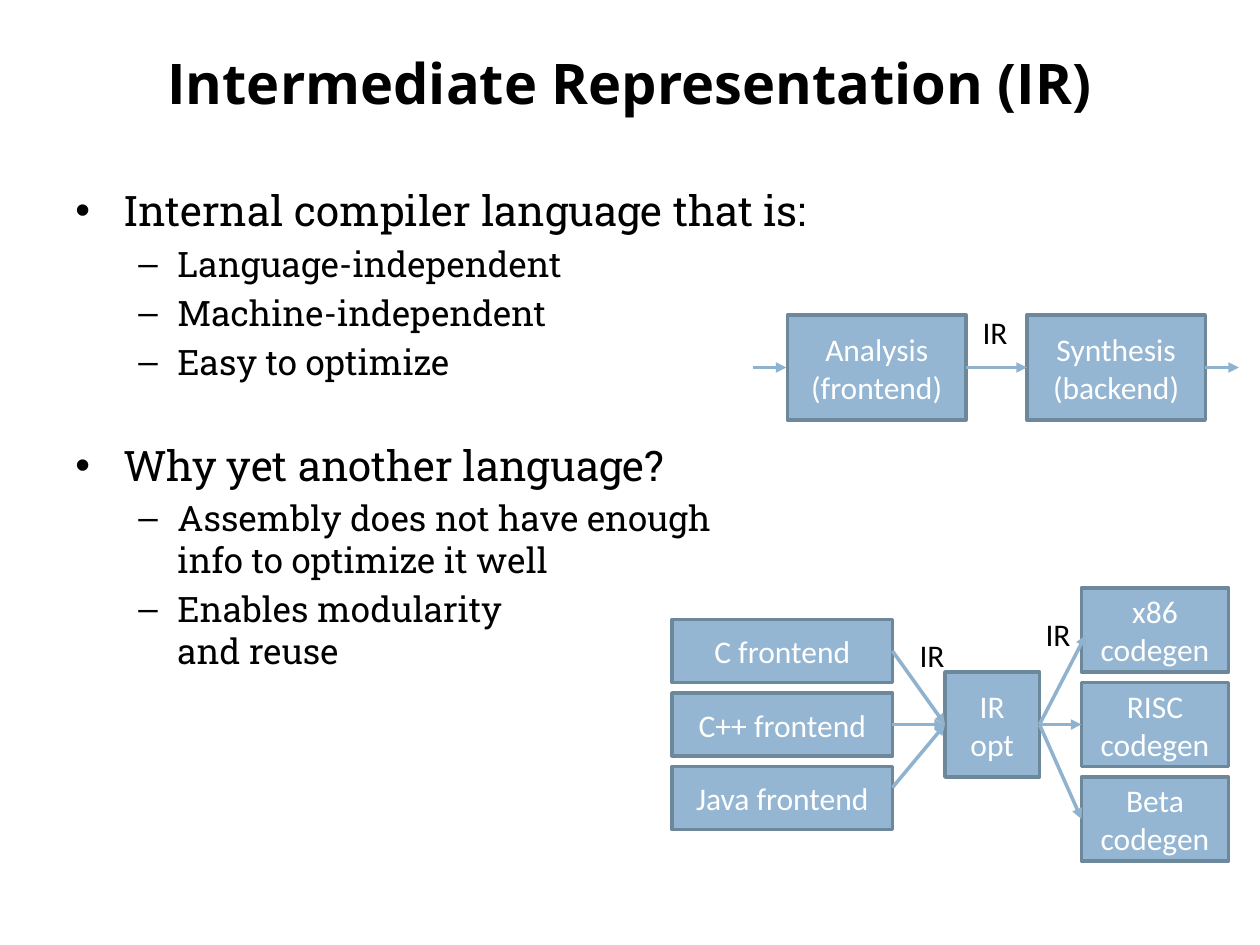
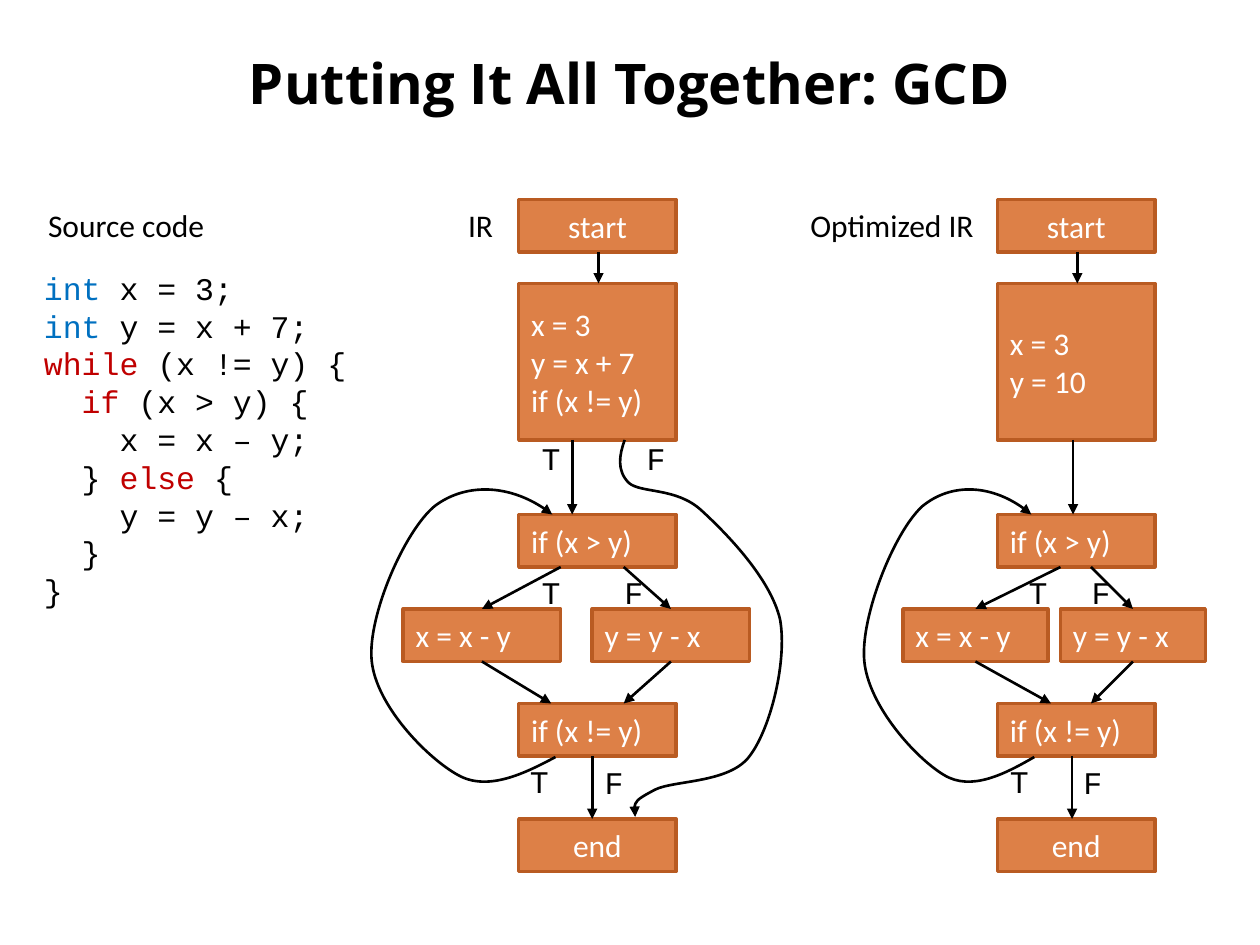
from lxml import etree
from pptx import Presentation
from pptx import util as u
from pptx.dml.color import RGBColor
from pptx.enum import shapes, text
from pptx.oxml.ns import qn

COLORS = {
    "black": "000000", "white": "FFFFFF", "blue": "94B6D2", "blue_edge": "6D879B",
    "blue_arrow": "8FB2CF", "orange": "DD8047", "orange_edge": "B95B22",
    "type": "0070C0", "keyword": "C00000",
}
BLUE, ORANGE = ("blue", "blue_edge"), ("orange", "orange_edge")
SANS, MONO, SLAB, HEAD = "Calibri", "Courier New", "Roboto Slab", "Open Sans"
COLUMNS, ROWS = 120, 90
CENTER, LEFT = text.PP_ALIGN.CENTER, text.PP_ALIGN.LEFT

BULLETS = [
    (0, "Internal compiler language that is:", 4.8),
    (1, "Language-independent", 4),
    (1, "Machine-independent", 4),
    (1, "Easy to optimize", 4),
    (0, "Why yet another language?", 32.8),
    (1, "Assembly does not have enough\vinfo to optimize it well", 4),
    (1, "Enables modularity\vand reuse", 4),
]
BULLET_STYLES = [("•", 24, 0.38, -0.38), ("–", 20, 0.81, -0.31)]

STAGES = [(75, ["Analysis", "(frontend)"]), (97.8, ["Synthesis", "(backend)"])]
STAGE_ARROWS = [(92, 97.8), (114.8, 118), (71.7, 74.9)]
FRONTENDS = ["C frontend", "C++ frontend", "Java frontend"]
CODEGENS = ["x86", "RISC", "Beta"]
FRONTEND_ENDS = [62, 69, 75]
CODEGEN_ENDS = [(103.4, 60.5), (103, 69), (103, 78)]
IR_LABELS = [(92.4, 29.2), (86.4, 60), (98.4, 58)]

CODE = [
    (0, [("int", "type"), (" x = 3;", "black")]),
    (0, [("int", "type"), (" y = x + 7;", "black")]),
    (0, [("while", "keyword"), (" (x != y) {", "black")]),
    (1, [("if", "keyword"), (" (x > y) {", "black")]),
    (2, [("x = x – y;", "black")]),
    (1, [("} ", "black"), ("else", "keyword"), (" {", "black")]),
    (2, [("y = y – x;", "black")]),
    (1, [("}", "black")]),
    (0, [("}", "black")]),
]
HEADINGS = [(3.4, 17.8, "Source code"), (43.4, 5, "IR"), (76, 18.8, "Optimized IR")]

FLOWS = [
    {
        "left": 49.4, "setup": ["x = 3", "y = x + 7", "if (x != y)"],
        "branches": [38.4, 56.4], "branch_width": 15,
        "start": 57, "entry": 54.5, "split": [53.4, 59.4], "merge": [52.5, 59.4],
        "exit": 56.4, "loop": 52.9, "loop_scale": 1,
        "labels": [("T", 50.4, 54), ("F", 58.3, 54), ("T", 50.4, 41.2),
                   ("F", 60.4, 41.2), ("T", 49.3, 72), ("F", 56.4, 72.1)],
    },
    {
        "left": 95, "setup": ["x = 3", "y = 10"],
        "branches": [86, 101], "branch_width": 13.8,
        "start": 102.6, "entry": 102.2, "split": [101, 103.9], "merge": [100.1, 103.9],
        "exit": 102.1, "loop": 98.5, "loop_scale": 0.925,
        "labels": [("T", 96.8, 54), ("F", 102.8, 54), ("T", 95, 72), ("F", 102, 72.1)],
    },
]
FLOW_ROWS = {"start": 19, "setup": 27, "compare": 49, "branch": 58, "repeat": 67, "end": 78}
FLOW_HEIGHT, FLOW_WIDTH, SETUP_HEIGHT = 5, 15, 14.9
LOOP = [(0, 72.1), (-3, 73.7), (-6.5, 75.4), (-9.3, 73.8), (-12.2, 72.2), (-17.1, 67.2),
        (-17.5, 62.9), (-17.9, 58.7), (-14.4, 50.6), (-11.5, 48.2), (-8.6, 46),
        (-3.9, 46.1), (-0.3, 49)]
BYPASS = [(59.5, 41.9), (59, 43.3), (58.7, 44.8), (59.9, 46), (61.1, 47), (64.4, 46.4),
          (66.8, 48.6), (69.2, 50.8), (73.4, 55.1), (74.3, 59), (75, 62.9), (73.4, 69.4),
          (71.4, 72), (69.5, 74.6), (64.2, 74.3), (62.4, 75.2), (60.5, 76.2),
          (60.2, 76.7), (60.5, 77.8)]

presentation = Presentation()
presentation.slide_width, presentation.slide_height = u.Inches(10), u.Inches(7.5)


def across(columns):
    return u.Emu(round(presentation.slide_width * columns / COLUMNS))


def down(rows):
    return u.Emu(round(presentation.slide_height * rows / ROWS))


def place(left, top, width, height):
    return across(left), down(top), across(width), down(height)


def color(name):
    return RGBColor.from_string(COLORS[name])


def add_run(paragraph, words, size, font, ink="black", bold=False):
    for index, line in enumerate(words.split("\v")):
        if index:
            paragraph.add_line_break()
        run = paragraph.add_run()
        run.text = line
        run.font.size, run.font.name, run.font.bold = u.Pt(size), font, bold
        run.font.color.rgb = color(ink)


def paragraphs(frame, count):
    while len(frame.paragraphs) < count:
        frame.add_paragraph()
    return frame.paragraphs


def add_text(slide, box, wrap=True, grow=False):
    frame = slide.shapes.add_textbox(*place(*box)).text_frame
    frame.word_wrap = wrap
    if grow:
        frame.auto_size = text.MSO_AUTO_SIZE.SHAPE_TO_FIT_TEXT
    return frame


def add_label(slide, words, left, top, width, font=SANS):
    frame = add_text(slide, (left, top, width, 4.8), wrap=False, grow=True)
    add_run(frame.paragraphs[0], words, 18, font)


def add_box(slide, lines, box, palette, align=CENTER, inset=None):
    shape = slide.shapes.add_shape(shapes.MSO_SHAPE.RECTANGLE, *place(*box))
    shape.shadow.inherit = False
    shape.fill.solid()
    shape.fill.fore_color.rgb = color(palette[0])
    shape.line.color.rgb, shape.line.width = color(palette[1]), u.Pt(2)
    frame = shape.text_frame
    frame.word_wrap = True
    frame.vertical_anchor = text.MSO_ANCHOR.MIDDLE
    if inset:
        frame.margin_left = frame.margin_right = u.Inches(inset)
        frame.margin_top = frame.margin_bottom = u.Inches(inset)
    for paragraph, line in zip(paragraphs(frame, len(lines)), lines):
        paragraph.alignment = align
        add_run(paragraph, line, 18, SANS, "white")


def finish_arrow(shape, ink, width):
    shape.line.color.rgb, shape.line.width = color(ink), u.Pt(width)
    line = shape.line._get_or_add_ln()
    etree.SubElement(line, qn("a:tailEnd"), type="triangle")


def add_arrow(slide, start, end, ink="black", width=1.5):
    connector = slide.shapes.add_connector(
        shapes.MSO_CONNECTOR.STRAIGHT,
        across(start[0]), down(start[1]), across(end[0]), down(end[1]))
    finish_arrow(connector, ink, width)
    etree.SubElement(connector._element.spPr, qn("a:effectLst"))


def add_curve(slide, points):
    corners = [(across(x), down(y)) for x, y in points]
    builder = slide.shapes.build_freeform(*corners[0])
    builder.add_line_segments(corners[1:], close=False)
    shape = builder.convert_to_shape()
    shape.shadow.inherit = False
    shape.fill.background()
    finish_arrow(shape, "black", 1.5)
    segments = list(shape._element.iter(qn("a:lnTo")))
    for index in range(0, len(segments), 3):
        bezier = etree.SubElement(segments[index].getparent(), qn("a:cubicBezTo"))
        for segment in segments[index:index + 3]:
            bezier.append(segment[0])
            segment.getparent().remove(segment)


def add_slide(title):
    slide = presentation.slides.add_slide(presentation.slide_layouts[6])
    frame = add_text(slide, (6, 3.6, 108, 8.4))
    frame.vertical_anchor = text.MSO_ANCHOR.MIDDLE
    frame.paragraphs[0].alignment = CENTER
    add_run(frame.paragraphs[0], title, 32, HEAD, bold=True)
    return slide


def add_bullets(slide):
    frame = add_text(slide, (6, 17, 79, 69))
    for paragraph, (level, words, gap) in zip(paragraphs(frame, len(BULLETS)), BULLETS):
        mark, size, margin, indent = BULLET_STYLES[level]
        paragraph.level, paragraph.space_before = level, u.Pt(gap)
        properties = paragraph._p.get_or_add_pPr()
        properties.set("marL", str(u.Inches(margin)))
        properties.set("indent", str(u.Inches(indent)))
        etree.SubElement(properties, qn("a:buFont"), typeface="Arial")
        etree.SubElement(properties, qn("a:buChar"), char=mark)
        add_run(paragraph, words, size, SLAB)


def add_pipelines(slide):
    for left, lines in STAGES:
        add_box(slide, lines, (left, 30, 17, 10), BLUE)
    for start, end in STAGE_ARROWS:
        add_arrow(slide, (start, 35), (end, 35), "blue_arrow", 2)
    add_box(slide, ["IR", "opt"], (90, 64, 9, 10), BLUE)
    for index, (frontend, codegen) in enumerate(zip(FRONTENDS, CODEGENS)):
        add_box(slide, [frontend], (64, 59 + 7 * index, 21, 6), BLUE)
        add_box(slide, [codegen, "codegen"], (103, 56 + 9 * index, 14, 8), BLUE)
    for row, end in zip(FRONTEND_ENDS, CODEGEN_ENDS):
        add_arrow(slide, (85, row), (90, 69), "blue_arrow", 2)
        add_arrow(slide, (99, 69), end, "blue_arrow", 2)
    for left, top in IR_LABELS:
        add_label(slide, "IR", left, top, 5)


def add_flow(slide, flow):
    rows = FLOW_ROWS
    bottom = {name: top + FLOW_HEIGHT for name, top in rows.items()}
    bottom["setup"] = rows["setup"] + SETUP_HEIGHT
    steps = [("start", ["start"], CENTER), ("setup", flow["setup"], LEFT),
             ("compare", ["if (x > y)"], LEFT), ("repeat", ["if (x != y)"], LEFT),
             ("end", ["end"], CENTER)]
    for name, lines, align in steps:
        box = (flow["left"], rows[name], FLOW_WIDTH, bottom[name] - rows[name])
        add_box(slide, lines, box, ORANGE, align, 0.1)
    for column, upper, lower in [("start", "start", "setup"), ("entry", "setup", "compare"),
                                 ("exit", "repeat", "end")]:
        add_arrow(slide, (flow[column], bottom[upper]), (flow[column], rows[lower]))
    for left, words, split, merge in zip(flow["branches"], ["x = x - y", "y = y - x"],
                                         flow["split"], flow["merge"]):
        width = flow["branch_width"]
        middle = left + width / 2
        add_box(slide, [words], (left, rows["branch"], width, FLOW_HEIGHT), ORANGE, LEFT, 0.1)
        add_arrow(slide, (split, bottom["compare"]), (middle, rows["branch"]))
        add_arrow(slide, (middle, bottom["branch"]), (merge, rows["repeat"]))
    add_curve(slide, [(flow["loop"] + x * flow["loop_scale"], y) for x, y in LOOP])
    for words, left, top in flow["labels"]:
        add_label(slide, words, left, top, 4.1, MONO)


def add_code(slide):
    frame = add_text(slide, (3, 25, 32, 34), grow=True)
    for paragraph, (depth, pieces) in zip(paragraphs(frame, len(CODE)), CODE):
        paragraph._p.get_or_add_pPr().set("marL", str(u.Inches(0.3 * depth)))
        for words, ink in pieces:
            add_run(paragraph, words, 18, MONO, ink)


representation = add_slide("Intermediate Representation (IR)")
add_bullets(representation)
add_pipelines(representation)

example = add_slide("Putting It All Together: GCD")
for flow in FLOWS:
    add_flow(example, flow)
add_curve(example, BYPASS)
for left, width, words in HEADINGS:
    add_label(example, words, left, 19, width)
add_code(example)

presentation.save("out.pptx")
